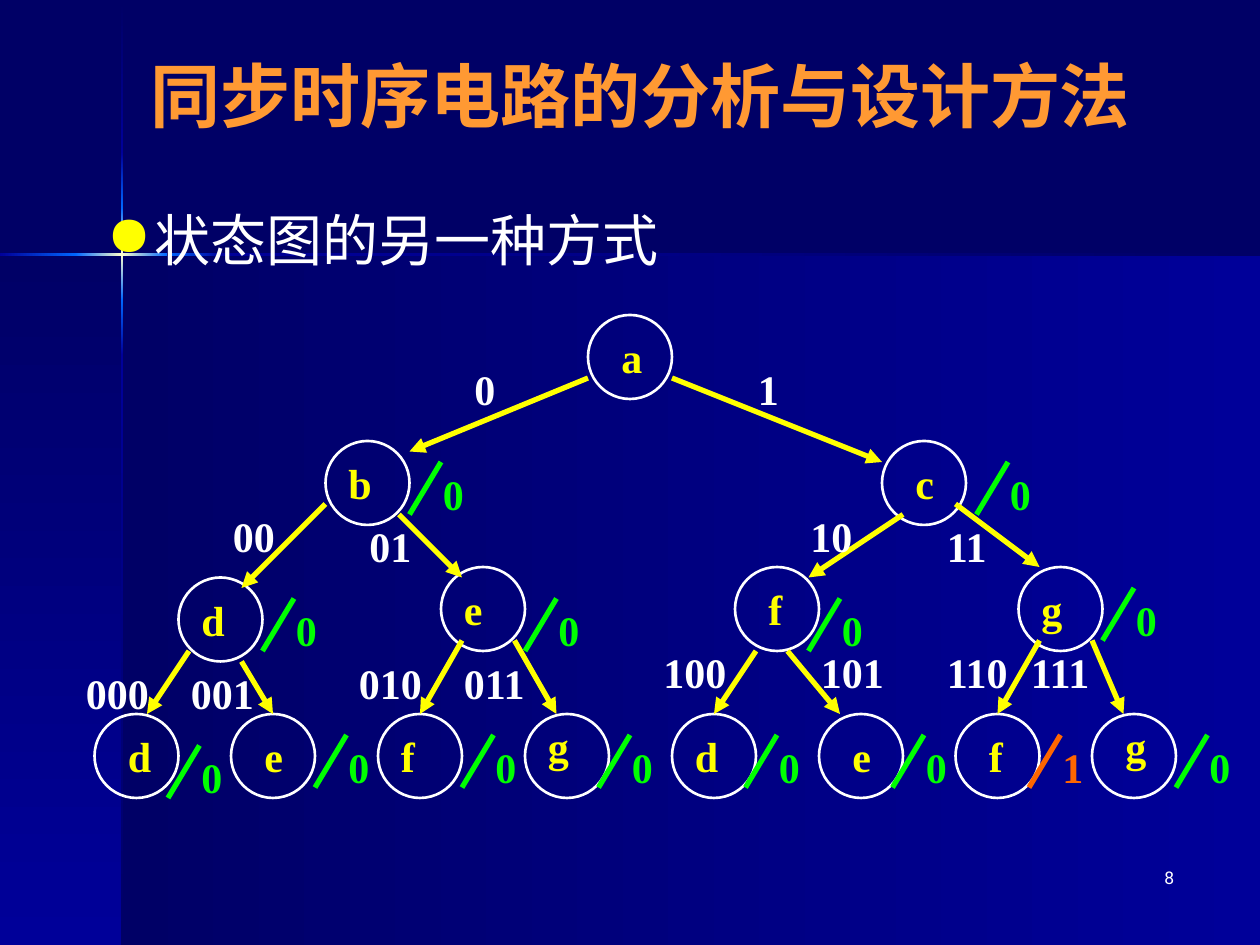
"""Build a slide with a binary state tree for a synchronous sequential circuit."""
import copy

from lxml import etree
from pptx import Presentation
from pptx import util as u
from pptx.dml.color import RGBColor
from pptx.enum import shapes, text
from pptx.oxml.ns import qn

NAVY = RGBColor(0x00, 0x00, 0x66)
BLUE = RGBColor(0x00, 0x00, 0x99)
AZURE = RGBColor(0x00, 0x66, 0xFF)
CREAM = RGBColor(0xFF, 0xFF, 0xCC)
AMBER = RGBColor(0xFF, 0x99, 0x33)
WHITE = RGBColor(0xFF, 0xFF, 0xFF)
YELLOW = RGBColor(0xFF, 0xFF, 0x00)
GREEN = RGBColor(0x00, 0xFF, 0x00)
ORANGE = RGBColor(0xFF, 0x66, 0x00)


def at(*twelfths):
    """Turn grid units of a twelfth of an inch into lengths."""
    return [u.Inches(n / 12) for n in twelfths]


def write(sp, txt, size=24, color=WHITE, font="Times New Roman", bold=True,
          align=text.PP_ALIGN.LEFT, grow=True, bullet=None):
    """Put one formatted paragraph into a shape."""
    tf = sp.text_frame
    tf.word_wrap = True
    tf.auto_size = text.MSO_AUTO_SIZE.SHAPE_TO_FIT_TEXT if grow else text.MSO_AUTO_SIZE.NONE
    p = tf.paragraphs[0]
    p.alignment = align
    if bullet:
        pPr = p._p.get_or_add_pPr()
        pPr.set("marL", str(u.Inches(0.38)))
        pPr.set("indent", str(u.Inches(-0.38)))
        clr = etree.SubElement(pPr, qn("a:buClr"))
        etree.SubElement(clr, qn("a:srgbClr"), val=str(YELLOW))
        etree.SubElement(pPr, qn("a:buChar"), char=bullet)
    r = p.add_run()
    r.text = txt
    r.font.name, r.font.size, r.font.bold = font, u.Pt(size), bold
    r.font.color.rgb = color


prs = Presentation()
prs.slide_width, prs.slide_height = u.Inches(10), u.Inches(7.5)
s = prs.slides.add_slide(prs.slide_layouts[5])
s.background.fill.solid()
s.background.fill.fore_color.rgb = NAVY

# left, top, width, height, gradient angle, gradient colours
bands = [
    (0.97, 2.02, 9.03, 5.48, 0, (NAVY, BLUE)),
    (0, 2.02, 0.97, 5.48, 270, (NAVY, BLUE)),
    (0.96, 0.01, 0.02, 1.21, 270, (NAVY, BLUE)),
    (0.96, 2.82, 0.02, 4.68, 270, (BLUE, NAVY)),
    (1.77, 2.01, 8.23, 0.02, 0, (BLUE, NAVY)),
    (0.96, 2.38, 0.02, 0.44, 270, (AZURE, BLUE)),
    (0.96, 1.21, 0.02, 0.44, 270, (BLUE, AZURE)),
    (0.96, 1.65, 0.02, 0.73, 270, (AZURE, CREAM, AZURE)),
    (0, 2.01, 0.61, 0.02, 0, (BLUE, AZURE)),
    (1.33, 2.01, 0.44, 0.02, 0, (AZURE, BLUE)),
    (0.6, 2.01, 0.73, 0.02, 0, (AZURE, CREAM, AZURE)),
]
for *box, angle, colors in bands:
    sp = s.shapes.add_shape(shapes.MSO_SHAPE.RECTANGLE, *[u.Inches(v) for v in box])
    sp.shadow.inherit = False
    sp.line.fill.background()
    sp.fill.gradient()
    sp.fill.gradient_angle = angle
    if len(colors) == 3:
        gs = sp._element.spPr.find(".//" + qn("a:gs"))
        gs.addnext(copy.deepcopy(gs))
    for i, (stop, color) in enumerate(zip(sp.fill.gradient_stops, colors)):
        stop.position = i / (len(colors) - 1)
        stop.color.rgb = color

title = s.shapes.title
title.left, title.top, title.width, title.height = at(6, 4, 110, 10)
title.text_frame.vertical_anchor = text.MSO_ANCHOR.MIDDLE
write(title, "同步时序电路的分析与设计方法", size=40, color=AMBER, font="Roboto",
      align=text.PP_ALIGN.CENTER, grow=False)
write(s.shapes.add_textbox(*at(9, 19, 104, 61)), "状态图的另一种方式", size=32,
      font="Roboto", bold=False, grow=False, bullet="●")
write(s.shapes.add_textbox(*at(88, 82, 25, 6)), "8", size=10, font="Roboto",
      bold=False, align=text.PP_ALIGN.RIGHT, grow=False)

# state, circle left and top, letter offset, output, slash offset
nodes = [
    ("a", 56, 30, 2, 1, None, 0, 0),
    ("b", 31, 42, 1, 1, "0", 11, 2),
    ("c", 84, 42, 2, 1, "0", 12, 2),
    ("d", 17, 55, 1, 1, "0", 11, 2),
    ("e", 42, 54, 1, 1, "0", 11, 3),
    ("f", 70, 54, 2, 1, "0", 10, 3),
    ("g", 97, 54, 1, 1, "0", 11, 2),
    ("d", 9, 68, 2, 1, "0", 10, 3),
    ("e", 22, 68, 2, 1, "0", 11, 2),
    ("f", 36, 68, 1, 1, "0", 11, 2),
    ("g", 50, 68, 1, 0, "0", 10, 2),
    ("d", 64, 68, 1, 1, "0", 10, 2),
    ("e", 78, 68, 2, 1, "0", 10, 2),
    ("f", 91, 68, 2, 1, "1", 10, 2),
    ("g", 104, 68, 2, 0, "0", 11, 2),
]
# input sequence, arrow start and end, label left, top and width
edges = [
    ("0", 56, 36, 39, 43, 44, 34, 5),
    ("1", 64, 36, 84, 44, 71, 34, 5),
    ("00", 31, 48, 23, 56, 21, 48, 7),
    ("01", 38, 49, 44, 55, 34, 49, 9),
    ("10", 86, 49, 77, 55, 76, 48, 7),
    ("11", 91, 48, 99, 54, 89, 49, 8),
    ("000", 18, 62, 14, 68, 7, 63, 9),
    ("001", 23, 63, 26, 68, 17, 63, 9),
    ("010", 44, 61, 40, 68, 33, 62, 9),
    ("011", 49, 61, 53, 68, 43, 62, 9),
    ("100", 72, 62, 68, 68, 62, 61, 9),
    ("101", 75, 62, 80, 68, 77, 61, 9),
    ("110", 99, 61, 95, 68, 89, 61, 9),
    ("111", 104, 61, 107, 68, 97, 61, 9),
]

strokes = [(edge[1:5], YELLOW, True) for edge in edges]
labels = [(edge[0], *edge[5:], WHITE) for edge in edges]
for state, x, y, dx, dy, out, slash_dx, slash_dy in nodes:
    grp = s.shapes.add_group_shape()
    sp = grp.shapes.add_shape(shapes.MSO_SHAPE.OVAL, *at(x, y, 8, 8))
    sp.shadow.inherit = False
    sp.fill.background()
    sp.line.color.rgb, sp.line.width = WHITE, u.Pt(1.5)
    write(grp.shapes.add_textbox(*at(x + dx, y + dy, 5, 6)), state, color=YELLOW)
    if out:
        color = ORANGE if out == "1" else GREEN
        left, top = x + slash_dx, y + slash_dy
        strokes.append(((left, top, left - 3, top + 5), color, False))
        labels.append((out, left - 1, top, 5, color))

for ends, color, arrow in strokes:
    cn = s.shapes.add_connector(shapes.MSO_CONNECTOR.STRAIGHT, *at(*ends))
    cn.line.color.rgb, cn.line.width = color, u.Pt(3)
    if arrow:
        etree.SubElement(cn.line._get_or_add_ln(), qn("a:tailEnd"), type="triangle")
    etree.SubElement(cn._element.spPr, qn("a:effectLst"))

for txt, left, top, width, color in labels:
    write(s.shapes.add_textbox(*at(left, top, width, 6)), txt, color=color)

prs.save("out.pptx")
